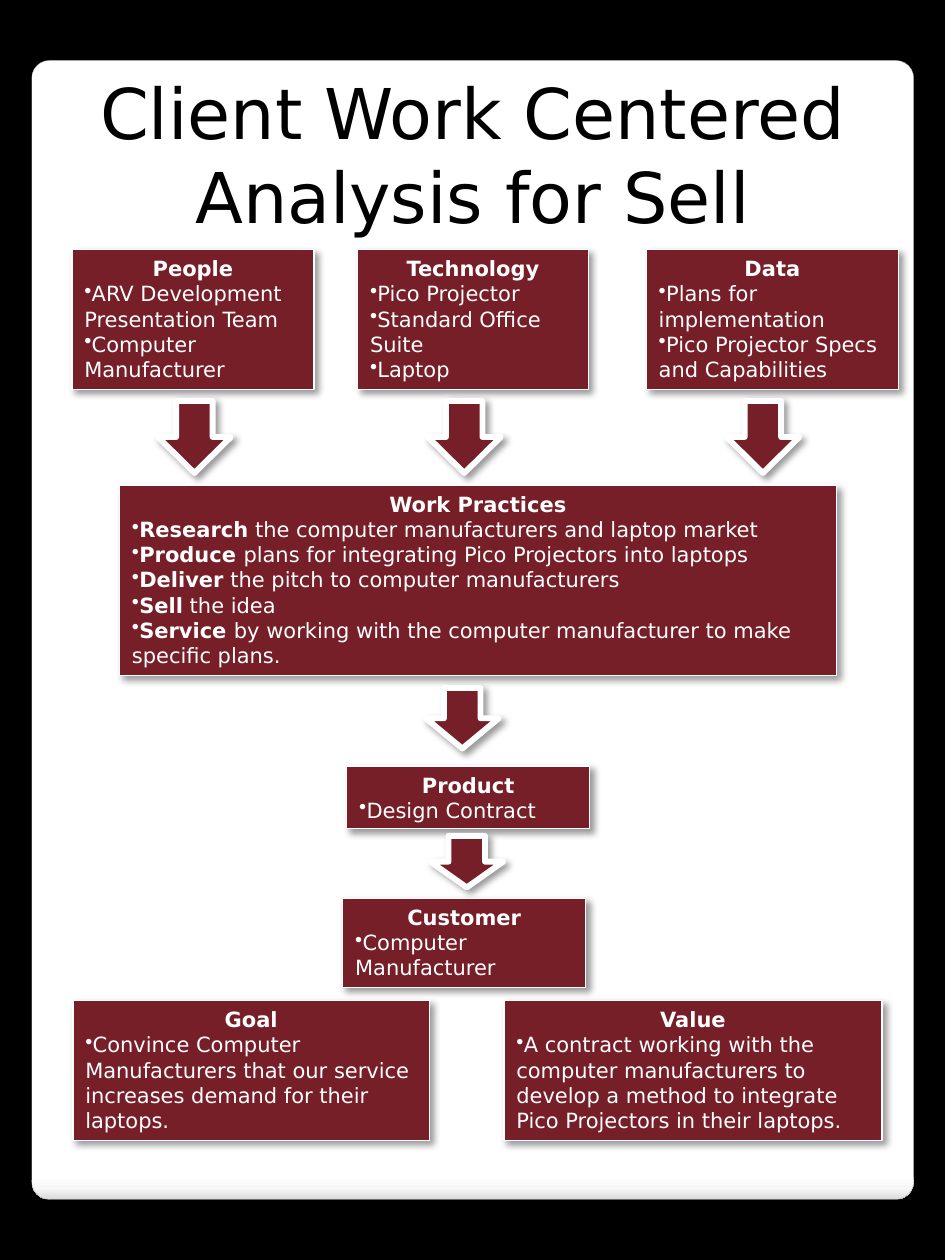
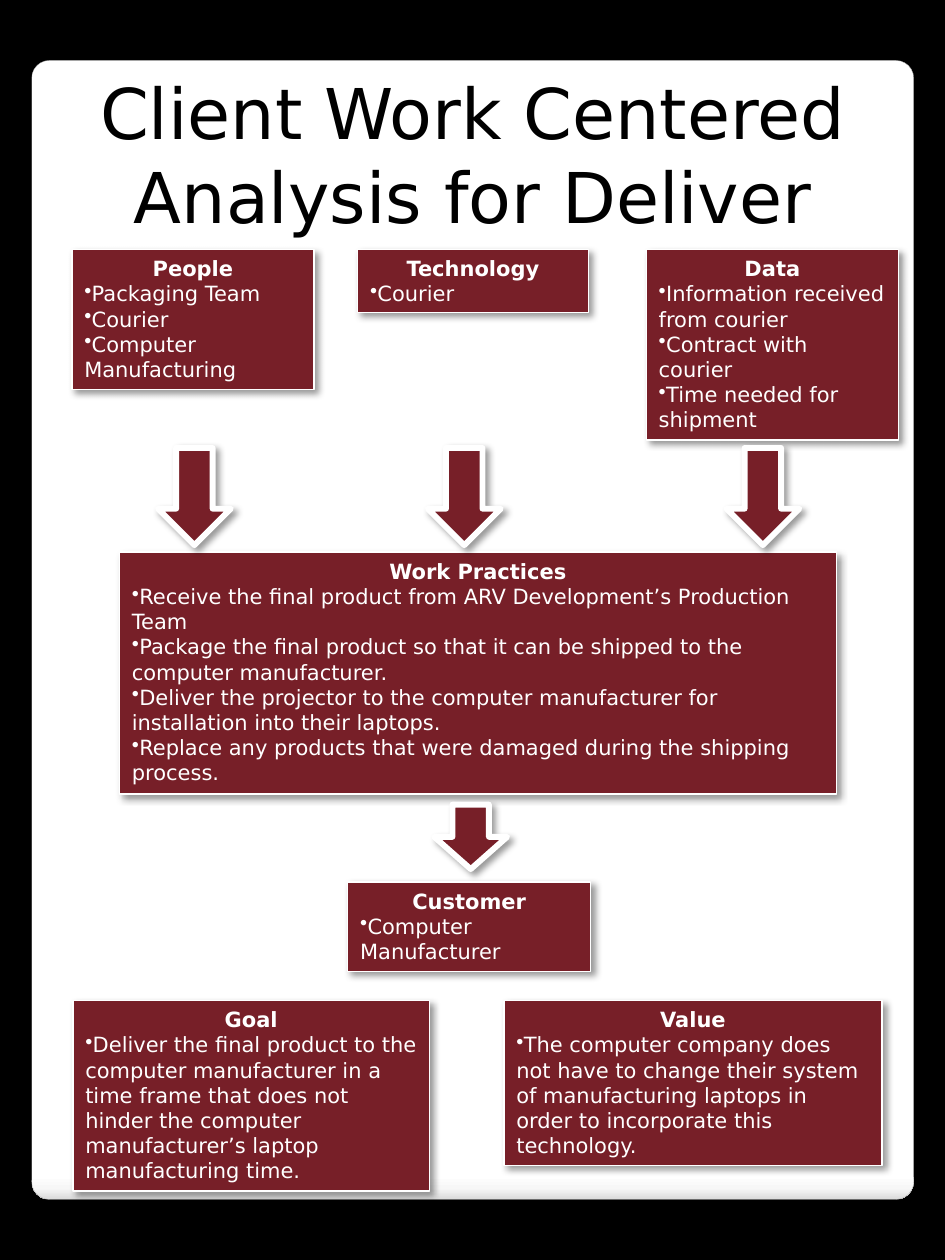
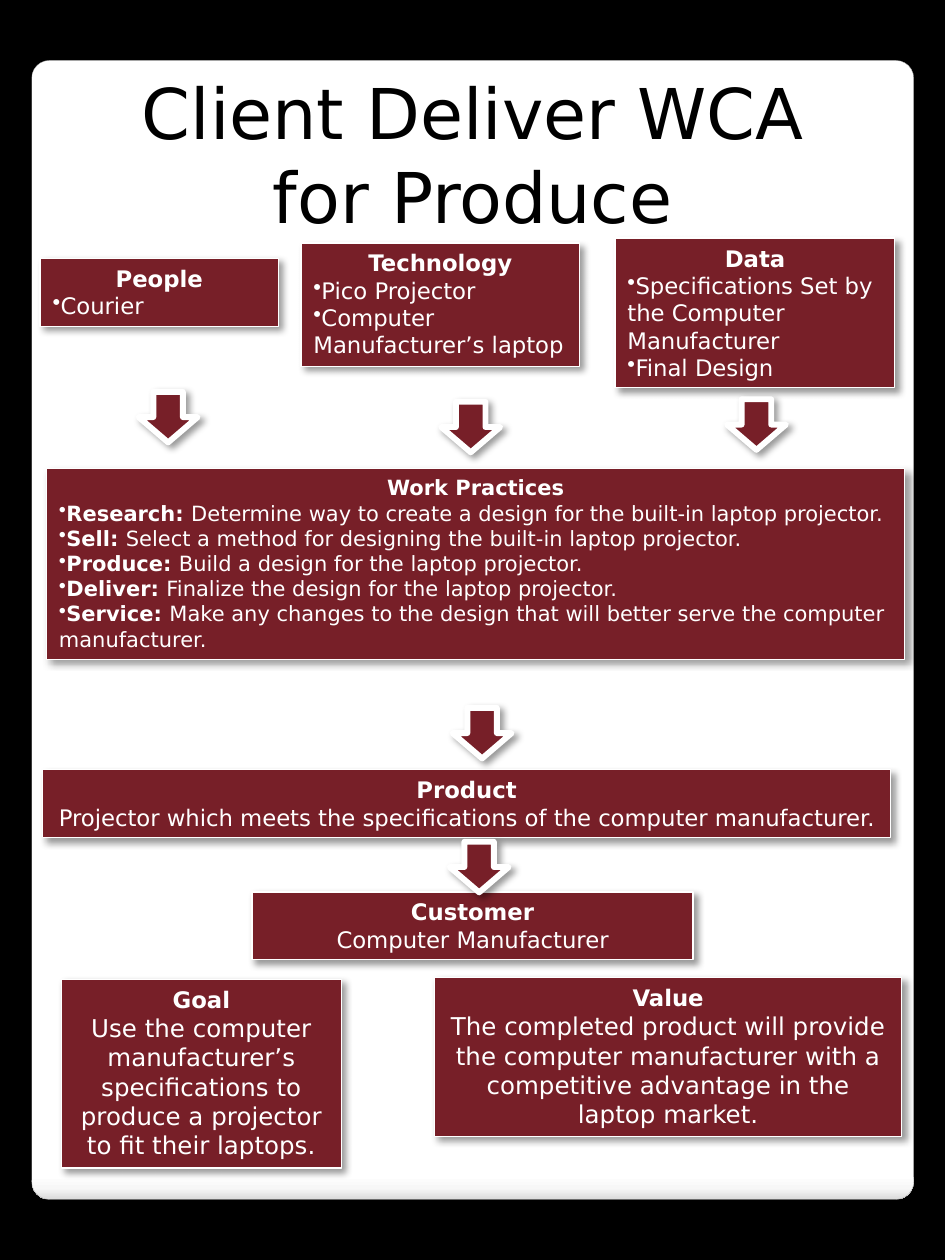
"""Build three work centered analysis slides: boxes and arrows on a rounded white panel."""
from lxml.etree import SubElement
from pptx import Presentation
from pptx.dml.color import RGBColor
from pptx.enum.shapes import MSO_SHAPE
from pptx.enum.text import MSO_ANCHOR, MSO_AUTO_SIZE, PP_ALIGN
from pptx.oxml.ns import qn
from pptx.util import Cm, Pt

FONT = "DejaVu Sans"
MAROON = "771F28"
WHITE = "FFFFFF"
BLACK = "000000"
PANEL_STOPS = [(0, WHITE), (98, WHITE), (99, "F7F7F7"), (100, "DADADA")]


def color(hex_value):
    return RGBColor.from_string(hex_value)


def finish(shape, line_color, line_width, opacity, blur, distance, angle):
    shape.line.color.rgb = color(line_color)
    shape.line.width = Pt(line_width)
    shape.shadow.inherit = False
    effects = shape.element.spPr.find(qn("a:effectLst"))
    shadow = SubElement(effects, qn("a:outerShdw"), blurRad=str(Pt(blur)), dist=str(Pt(distance)),
                        dir=str(angle * 60000), algn="tl", rotWithShape="0")
    shade = SubElement(shadow, qn("a:srgbClr"), val=BLACK)
    SubElement(shade, qn("a:alpha"), val=str(opacity * 1000))


# Boxes: heading, (left, top, width, height), (heading size, body size), content.
# A list becomes bullets, a plain string a centred statement, a pair a bold lead and its text.
SLIDES = [
    ("Client Work Centered Analysis for Sell", MSO_SHAPE.LEFT_ARROW, 270, [
        ("Work Practices", (2.41, 9.78, 14.45, 3.84), (12, 12), [
            ("Research", " the computer manufacturers and laptop market"),
            ("Produce ", "plans for integrating Pico Projectors into laptops"),
            ("Deliver", " the pitch to computer manufacturers"),
            ("Sell", " the idea"),
            ("Service ", "by working with the computer manufacturer to make specific plans.")]),
        ("People", (1.45, 5.03, 4.88, 2.82), (12, 12),
         ["ARV Development Presentation Team", "Computer Manufacturer"]),
        ("Technology", (7.21, 5.03, 4.65, 2.82), (12, 12),
         ["Pico Projector", "Standard Office Suite", "Laptop"]),
        ("Data", (13.03, 5.03, 5.08, 2.82), (12, 12),
         ["Plans for implementation", "Pico Projector Specs and Capabilities"]),
        ("Goal", (1.47, 20.17, 7.19, 2.82), (12, 12),
         ["Convince Computer Manufacturers that our service increases demand for their laptops."]),
        ("Value", (10.16, 20.17, 7.62, 2.82), (12, 12),
         ["A contract working with the computer manufacturers to develop a method to integrate "
          "Pico Projectors in their laptops."]),
        ("Customer", (6.91, 18.11, 4.9, 1.8), (12, 12), ["Computer Manufacturer"]),
        ("Product", (6.99, 15.44, 4.9, 1.27), (12, 12), ["Design Contract"]),
    ], [(9.36, 8.81, 1.45, 1.47), (3.92, 8.81, 1.45, 1.47), (15.38, 8.81, 1.45, 1.47),
        (9.41, 17.37, 1.04, 1.47), (9.32, 14.48, 1.22, 1.47)]),
    ("Client Work Centered Analysis for Deliver", MSO_SHAPE.LEFT_ARROW, 270, [
        ("Work Practices", (2.41, 11.13, 14.45, 4.88), (12, 12), [
            "Receive the final product from ARV Development’s Production Team",
            "Package the final product so that it can be shipped to the computer manufacturer.",
            "Deliver the projector to the computer manufacturer for installation into their laptops.",
            "Replace any products that were damaged during the shipping process."]),
        ("People", (1.45, 5.03, 4.88, 2.82), (12, 12),
         ["Packaging Team", "Courier", "Computer Manufacturing"]),
        ("Technology", (7.21, 5.03, 4.65, 1.27), (12, 12), ["Courier"]),
        ("Data", (13.03, 5.03, 5.08, 3.84), (12, 12),
         ["Information received from courier", "Contract with courier", "Time needed for shipment"]),
        ("Goal", (1.47, 20.17, 7.19, 3.84), (12, 12),
         ["Deliver the final product to the computer manufacturer in a time frame that does not "
          "hinder the computer manufacturer’s laptop manufacturing time."]),
        ("Value", (10.16, 20.17, 7.62, 3.33), (12, 12),
         ["The computer company does not have to change their system of manufacturing laptops in "
          "order to incorporate this technology."]),
        ("Customer", (7.01, 17.78, 4.9, 1.8), (12, 12), ["Computer Manufacturer"]),
    ], [(9.36, 10.01, 1.96, 1.47), (3.92, 10.01, 1.96, 1.47), (15.38, 10.01, 1.96, 1.47),
        (9.49, 16.87, 1.3, 1.47)]),
    ("Client Deliver WCA\vfor Produce", MSO_SHAPE.DOWN_ARROW, 0, [
        ("Work Practices", (0.94, 9.45, 17.3, 3.84), (12, 12), [
            ("Research: ", "Determine way to create a design for the built-in laptop projector."),
            ("Sell: ", "Select a method for designing the built-in laptop projector."),
            ("Produce: ", "Build a design for the laptop projector."),
            ("Deliver: ", "Finalize the design for the laptop projector."),
            ("Service: ", "Make any changes to the design that will better serve the computer "
                          "manufacturer.")]),
        ("Technology", (6.07, 4.9, 5.61, 2.49), (13, 13),
         ["Pico Projector", "Computer Manufacturer’s laptop"]),
        ("People", (0.81, 5.21, 4.8, 1.37), (13, 13), ["Courier"]),
        ("Data", (12.4, 4.8, 5.64, 3.02), (13, 13),
         ["Specifications Set by the Computer Manufacturer", "Final Design"]),
        ("Product", (0.86, 15.52, 17.09, 1.37), (13, 13),
         "Projector which meets the specifications of the computer manufacturer."),
        ("Customer", (5.08, 17.98, 8.89, 1.37), (13, 13), "Computer Manufacturer"),
        ("Goal", (1.24, 19.74, 5.64, 3.81), (13, 14),
         "Use the computer manufacturer’s specifications to produce a projector to fit their laptops."),
        ("Value", (8.76, 19.71, 9.42, 3.2), (13, 14),
         "The completed product will provide the computer manufacturer with a competitive "
         "advantage in the laptop market."),
    ], [(9.49, 8.61, 1.19, 1.02), (15.25, 8.56, 1.19, 1.02), (3.39, 8.41, 1.19, 1.02),
        (9.72, 14.78, 1.19, 1.02), (9.66, 17.48, 1.19, 1.02)]),
]

presentation = Presentation()
presentation.slide_width, presentation.slide_height = Cm(19.05), Cm(25.4)
master = presentation.slide_master
master.background.fill.solid()
master.background.fill.fore_color.rgb = color(BLACK)
title_layout = presentation.slide_layouts[5]

for number, (title_text, arrow_kind, rotation, boxes, arrows) in enumerate(SLIDES):
    slide = presentation.slides.add_slide(title_layout)

    if number == 0:
        panel = slide.shapes.add_shape(MSO_SHAPE.ROUNDED_RECTANGLE,
                                       Cm(0.64), Cm(1.22), Cm(17.78), Cm(22.96))
        panel.adjustments[0] = 0.02
        panel.fill.gradient()
        panel.fill.gradient_angle = 270
        stop_list = panel.element.spPr.find(qn("a:gradFill")).find(qn("a:gsLst"))
        for stop in list(stop_list):
            stop_list.remove(stop)
        for position, stop_color in PANEL_STOPS:
            stop = SubElement(stop_list, qn("a:gs"), pos=str(position * 1000))
            SubElement(stop, qn("a:srgbClr"), val=stop_color)
        finish(panel, "A4A4A4", 0.16, 25, 6, 4, 90)
        master.shapes.element.insert(2, panel.element)

    title = slide.shapes.title
    title.left, title.top, title.width, title.height = Cm(0.64), Cm(1.27), Cm(17.78), Cm(3.68)
    title.text_frame.text = title_text
    title.text_frame.word_wrap = True
    title.text_frame.auto_size = MSO_AUTO_SIZE.SHAPE_TO_FIT_TEXT
    title.text_frame.vertical_anchor = MSO_ANCHOR.TOP
    title.text_frame.paragraphs[0].alignment = PP_ALIGN.CENTER
    for run in title.text_frame.paragraphs[0].runs:
        run.font.name, run.font.size = FONT, Pt(40)
        run.font.color.rgb = color(BLACK)

    for heading, place, (heading_size, body_size), content in boxes:
        box = slide.shapes.add_shape(MSO_SHAPE.RECTANGLE, *[Cm(length) for length in place])
        box.fill.solid()
        box.fill.fore_color.rgb = color(MAROON)
        finish(box, WHITE, 0.75, 40, 4, 3, 45)
        text_frame = box.text_frame
        text_frame.word_wrap = True
        text_frame.auto_size = MSO_AUTO_SIZE.SHAPE_TO_FIT_TEXT
        text_frame.vertical_anchor = MSO_ANCHOR.TOP
        text_frame.text = heading
        bulleted = isinstance(content, list)
        for line in content if bulleted else [content]:
            paragraph = text_frame.add_paragraph()
            lead, rest = line if isinstance(line, tuple) else ("", line)
            for text in filter(None, (lead, rest)):
                run = paragraph.add_run()
                run.text = text
                run.font.bold = text == lead
            if bulleted:
                properties = paragraph._p.get_or_add_pPr()
                SubElement(properties, qn("a:buChar"), char="•")
        for index, paragraph in enumerate(text_frame.paragraphs):
            is_heading = index == 0
            paragraph.alignment = PP_ALIGN.LEFT if bulleted and not is_heading else PP_ALIGN.CENTER
            for run in paragraph.runs:
                run.font.name = FONT
                run.font.size = Pt(heading_size if is_heading else body_size)
                run.font.color.rgb = color(WHITE)
                if is_heading:
                    run.font.bold = True

    for center_x, center_y, width, height in arrows:
        arrow = slide.shapes.add_shape(arrow_kind, Cm(center_x - width / 2), Cm(center_y - height / 2),
                                       Cm(width), Cm(height))
        arrow.rotation = rotation
        arrow.fill.solid()
        arrow.fill.fore_color.rgb = color(MAROON)
        finish(arrow, WHITE, 3.35, 40, 4, 3, 45)

presentation.save("out.pptx")
